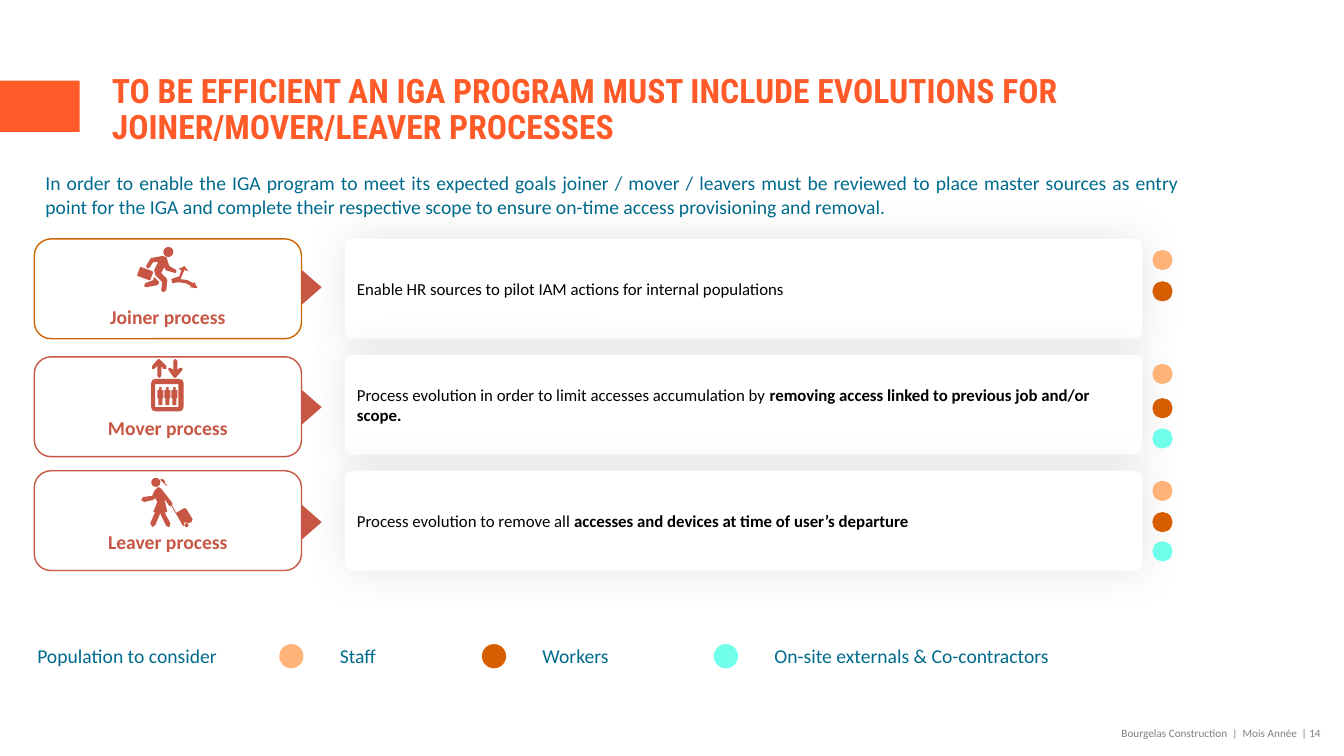
from lxml import etree
from pptx import Presentation
from pptx.dml.color import RGBColor
from pptx.enum.shapes import MSO_SHAPE
from pptx.enum.text import MSO_ANCHOR, PP_ALIGN
from pptx.oxml.ns import qn
from pptx.util import Inches, Pt

RECT, ROUNDED = MSO_SHAPE.RECTANGLE, MSO_SHAPE.ROUNDED_RECTANGLE
OVAL, TRIANGLE = MSO_SHAPE.OVAL, MSO_SHAPE.ISOSCELES_TRIANGLE
TOP, MIDDLE, BOTTOM = MSO_ANCHOR.TOP, MSO_ANCHOR.MIDDLE, MSO_ANCHOR.BOTTOM
LEFT, CENTER, RIGHT, JUSTIFY = PP_ALIGN.LEFT, PP_ALIGN.CENTER, PP_ALIGN.RIGHT, PP_ALIGN.JUSTIFY

COLORS = {
    "orange": "FF5A28", "teal": "006B8D", "brick": "C75744", "amber": "CC6600",
    "grey": "808080", "black": "000000", "white": "FFFFFF",
    "staff": "FFB378", "workers": "D65D00", "externals": "6FFFEB",
}

# Content
TITLE = "TO BE EFFICIENT AN IGA PROGRAM MUST INCLUDE EVOLUTIONS FOR JOINER/MOVER/LEAVER PROCESSES"
INTRO = ("In order to enable the IGA program to meet its expected goals joiner / mover / leavers "
         "must be reviewed to place master sources as entry point for the IGA and complete their "
         "respective scope to ensure on-time access provisioning and removal.")
FOOTER, PAGE = "Bourgelas Construction  |  Mois Année", "| 14"
LEGEND_TITLE = "Population to consider"
# population, label, dot left, label width
LEGEND = [
    ("staff", "Staff", 2.77, 1.11),
    ("workers", "Workers", 4.78, 1.41),
    ("externals", "On-site externals & Co-contractors", 7.08, 2.96),
]
PROCESSES = [
    dict(name="Joiner process", border="amber", box_top=2.37, label_inset=0.05, arrow_drop=0.48,
         plain="Enable HR sources to pilot IAM actions for internal populations", strong="",
         dots=[0.11, 0.42]),
    dict(name="Mover process", border="brick", box_top=3.54, label_inset=0.12, arrow_drop=0.5,
         plain="Process evolution in order to limit accesses accumulation by ",
         strong="removing access linked to previous job and/or scope.", dots=[0.09, 0.43, 0.73]),
    dict(name="Leaver process", border="brick", box_top=4.67, label_inset=0.12, arrow_drop=0.51,
         plain="Process evolution to remove all ",
         strong="accesses and devices at time of user’s departure", dots=[0.1, 0.41, 0.7]),
]

# Icon outlines in hundredths of an inch from the icon corner
RUNNER = [
    [(58, 44), (52, 41), (45, 40), (49, 31), (53, 32), (49, 27), (43, 30), (46, 31), (44, 37),
     (36, 40), (37, 44), (43, 43), (50, 44), (56, 47), (54, 48), (62, 49), (59, 43)],
    [(26, 34), (29, 28), (30, 30), (30, 31), (40, 34), (41, 33), (41, 31), (34, 27), (32, 21),
     (31, 18), (27, 17), (16, 19), (15, 20), (11, 27), (12, 29), (14, 29), (18, 23), (23, 23),
     (19, 31), (20, 36), (27, 43), (26, 51), (28, 53), (31, 51), (32, 41), (31, 39)],
    [(18, 41), (10, 44), (9, 47), (11, 48), (22, 46), (23, 45), (24, 43), (19, 38)],
    [(15, 41), (18, 33), (17, 32), (6, 28), (5, 28), (2, 36), (3, 37), (14, 41)],
]
LIFT = [
    [(44, 22), (20, 22), (17, 23), (16, 26), (16, 50), (17, 53), (20, 54), (44, 54), (47, 53),
     (48, 50), (48, 26), (47, 23)],
    [(43, 50), (20, 50), (20, 27), (43, 27)],
    [(38, 4), (40, 2), (42, 4), (42, 13), (44, 11), (47, 11), (47, 13), (41, 20), (40, 21),
     (38, 20), (33, 13), (33, 11), (35, 11), (38, 13)],
    [(22, 19), (24, 21), (26, 19), (26, 9), (28, 12), (31, 12), (31, 9), (25, 3), (24, 2),
     (22, 3), (17, 9), (17, 12), (19, 12), (22, 9)],
]
PASSENGER_LEFTS = [22, 29, 36]
LIFT += [[(x, 33), (x + 6, 33), (x + 6, 41), (x + 5, 41), (x + 5, 48), (x + 1, 48),
          (x + 1, 41), (x, 41)] for x in PASSENGER_LEFTS]
TRAVELLER = [
    [(8, 26), (17, 25), (19, 20), (23, 16), (26, 18), (37, 32), (37, 35), (41, 42), (42, 41),
     (49, 37), (51, 38), (57, 48), (56, 51), (53, 52), (49, 51), (48, 55), (47, 54), (42, 45),
     (36, 35), (34, 35), (29, 28), (32, 41), (30, 41), (30, 43), (35, 52), (34, 56), (31, 55),
     (26, 45), (25, 42), (20, 54), (17, 56), (15, 52), (20, 41), (18, 41), (22, 31), (20, 27),
     (18, 29), (9, 31), (6, 29)],
    [(31, 15), (29, 13), (27, 11), (25, 9), (26, 8), (29, 9), (30, 13), (32, 15)],
]
# outlines, then discs as left, top, diameter
ICONS = [
    (RUNNER, [(28, 8, 10)]),
    (LIFT, [(x + 1.5, 30, 3) for x in PASSENGER_LEFTS]),
    (TRAVELLER, [(16, 7, 9), (49, 52, 4)]),
]

# Grid in inches
BOX_LEFT, BOX_W, ROW_H = 0.34, 2.65, 0.99
CARD_LEFT, CARD_W, CARD_TOP, CARD_STEP = 3.42, 7.91, 2.37, 1.15
ICON_LEFT = BOX_LEFT + 1
ARROW_W, ARROW_H, ARROW_CENTER = 0.35, 0.2, 3.09
DOT_LEFT, DOT = 11.43, 0.2
LEGEND_TOP, LEGEND_DOT, LEGEND_GAP = 6.39, 0.24, 0.6

deck = Presentation()
deck.slide_width, deck.slide_height = Inches(13.33), Inches(7.5)
slide = deck.slides.add_slide(deck.slide_layouts[6])


def color(name):
    return RGBColor.from_string(COLORS[name])


def paint(part, fill, border=None):
    part.shadow.inherit = False
    part.fill.solid()
    part.fill.fore_color.rgb = color(fill)
    if border:
        part.line.color.rgb = color(border)
        part.line.width = Pt(1)
    else:
        part.line.fill.background()
    return part


def add_part(kind, left, top, width, height, fill, border=None):
    return paint(slide.shapes.add_shape(
        kind, Inches(left), Inches(top), Inches(width), Inches(height)), fill, border)


def write(frame, *runs, size=14, font="Calibri", ink="teal", bold=False, align=LEFT,
          anchor=TOP, inset=(0, 0, 0, 0), wrap=True, spacing=None):
    """Each run is a string, or a (string, bold) pair."""
    frame.word_wrap, frame.vertical_anchor = wrap, anchor
    (frame.margin_left, frame.margin_top,
     frame.margin_right, frame.margin_bottom) = map(Inches, inset)
    line = frame.paragraphs[0]
    line.alignment, line.line_spacing = align, spacing
    for item in runs:
        words, heavy = (item, bold) if isinstance(item, str) else item
        run = line.add_run()
        run.text = words
        run.font.size, run.font.name, run.font.bold = Pt(size), font, heavy
        run.font.color.rgb = color(ink)


def add_words(left, top, width, height, words, **style):
    write(slide.shapes.add_textbox(Inches(left), Inches(top), Inches(width),
                                   Inches(height)).text_frame, words, **style)


def add_glow(part):
    effects = part._element.spPr.find(qn("a:effectLst"))
    glow = etree.SubElement(effects, qn("a:outerShdw"), blurRad=str(Pt(30)), dist="0", dir="0",
                            algn="ctr", rotWithShape="0")
    tint = etree.SubElement(glow, qn("a:srgbClr"), val=COLORS["black"])
    etree.SubElement(tint, qn("a:alpha"), val="10000")


def add_icon(outlines, discs, top):
    pen = slide.shapes.build_freeform(*outlines[0][0], scale=Inches(0.01))
    for number, outline in enumerate(outlines):
        if number:
            pen.move_to(*outline[0])
        pen.add_line_segments(outline[1:], close=True)
    paint(pen.convert_to_shape(Inches(ICON_LEFT), Inches(top)), "brick")
    for x, y, size in discs:
        add_part(OVAL, ICON_LEFT + x / 100, top + y / 100, size / 100, size / 100, "brick")


# Heading and introduction
add_part(RECT, 0, 0.8, 0.79, 0.51, "orange")
add_words(1.07, 0.76, 11.87, 0.67, TITLE, size=24, font="Roboto Condensed", ink="orange",
          bold=True, anchor=MIDDLE, inset=(0.04, 0, 0.04, 0), spacing=0.9)
add_words(0.45, 1.7, 11.25, 0.47, INTRO, align=JUSTIFY)

# Process rows
for row, (process, icon) in enumerate(zip(PROCESSES, ICONS)):
    box_top, card_top = process["box_top"], CARD_TOP + row * CARD_STEP
    box = add_part(ROUNDED, BOX_LEFT, box_top, BOX_W, ROW_H, "white", process["border"])
    write(box.text_frame, process["name"], ink="brick", bold=True, align=CENTER, anchor=BOTTOM,
          inset=(0.1, 0.05, 0.1, process["label_inset"]), wrap=False)
    card = add_part(ROUNDED, CARD_LEFT, card_top, CARD_W, ROW_H, "white")
    card.adjustments[0] = 0.075
    add_glow(card)
    runs = [run for run in ((process["plain"], False), (process["strong"], True)) if run[0]]
    write(card.text_frame, *runs, size=12, ink="black", anchor=MIDDLE,
          inset=(0.1, 0.05, 0.1, 0.05))
    add_icon(*icon, box_top)
    arrow = add_part(TRIANGLE, ARROW_CENTER - ARROW_W / 2,
                     box_top + process["arrow_drop"] - ARROW_H / 2, ARROW_W, ARROW_H, "brick")
    arrow.rotation = 90
    for (population, *_), drop in zip(LEGEND, process["dots"]):
        add_part(OVAL, DOT_LEFT, card_top + drop, DOT, DOT, population)

# Legend
add_words(0.37, LEGEND_TOP, 2.4, LEGEND_DOT, LEGEND_TITLE, align=JUSTIFY)
for population, label, left, width in LEGEND:
    add_part(OVAL, left, LEGEND_TOP, LEGEND_DOT, LEGEND_DOT, population)
    add_words(left + LEGEND_GAP, LEGEND_TOP, width, LEGEND_DOT, label, align=JUSTIFY)

# Footer
add_words(10.35, 7.21, 2.56, 0.13, FOOTER, size=8, ink="grey", align=RIGHT, anchor=MIDDLE,
          inset=(0.04, 0, 0.04, 0))
add_words(12.91, 7.21, 0.26, 0.13, PAGE, size=8, ink="grey", anchor=MIDDLE, wrap=False)

deck.save("out.pptx")
